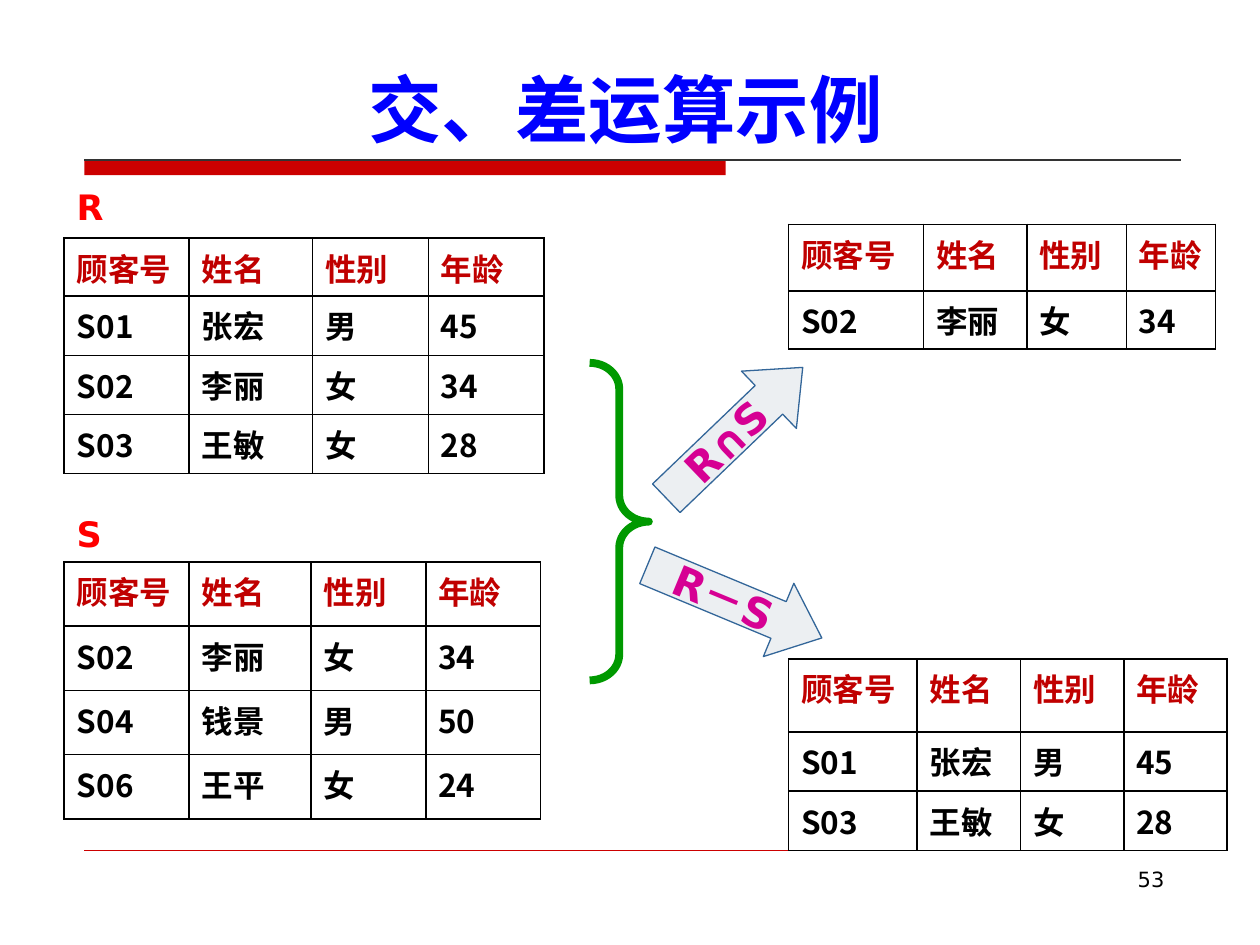
from lxml.etree import SubElement
from pptx import Presentation
from pptx.dml.color import RGBColor
from pptx.enum.shapes import MSO_CONNECTOR as CONNECTOR, MSO_SHAPE as SHAPE
from pptx.enum.text import MSO_ANCHOR as ANCHOR, PP_ALIGN as ALIGN
from pptx.oxml.ns import qn
from pptx.util import Inches, Pt

COLORS = {
    "title": "0000FF", "rule": "CC0000", "hairline": "333333", "header": "C00000",
    "text": "000000", "relation": "FF0000", "brace": "009900",
    "arrow": "A3B2C1", "arrow_edge": "336699", "operation": "D60093",
}
RGB = {name: RGBColor.from_string(value) for name, value in COLORS.items()}
SC, KR, TIMES, DEJAVU = "Noto Sans CJK SC", "Noto Sans CJK KR", "Times New Roman", "DejaVu Sans"


def write(frame, text, size, color, latin, asian=SC, bold=True, align=ALIGN.LEFT):
    """Fill a text frame with one styled paragraph, which is returned."""
    paragraph = frame.paragraphs[0]
    paragraph.text = text
    paragraph.alignment = align
    font = paragraph.font
    font.size, font.bold, font.name = Pt(size), bold, latin
    font.color.rgb = RGB[color]
    defaults = paragraph._p.pPr.find(qn("a:defRPr"))
    SubElement(defaults, qn("a:ea"), typeface=asian)
    return paragraph


def add_rule(x1, x2, y, color, width):
    rule = slide.shapes.add_connector(
        CONNECTOR.STRAIGHT, Inches(x1), Inches(y), Inches(x2), Inches(y))
    rule.line.color.rgb = RGB[color]
    rule.line.width = Pt(width)
    SubElement(rule._element.spPr, qn("a:effectLst"))


prs = Presentation()
prs.slide_width, prs.slide_height = Inches(10), Inches(7.5)
slide = prs.slides.add_slide(prs.slide_layouts[6])

# Title rules and footer rule
title_bar = slide.shapes.add_shape(
    SHAPE.RECTANGLE, Inches(0.67), Inches(1.27), Inches(5.09), Inches(0.12))
title_bar.shadow.inherit = False
title_bar.fill.solid()
title_bar.fill.fore_color.rgb = RGB["rule"]
title_bar.line.fill.background()
add_rule(0.67, 9.37, 1.27, "hairline", 0.75)
add_rule(0.67, 9.33, 6.75, "rule", 0.25)

# Title, relation names and page number
captions = [
    ("交、差运算示例", 0.59, 0.36, 8.75, 0.9, 42, "title", SC, True, ALIGN.CENTER, ANCHOR.BOTTOM),
    ("R", 0.51, 1.42, 0.94, 0.44, 20, "relation", DEJAVU, True, ALIGN.LEFT, ANCHOR.TOP),
    ("S", 0.51, 4.02, 0.94, 0.44, 20, "relation", DEJAVU, True, ALIGN.LEFT, ANCHOR.TOP),
    ("53", 7.17, 6.83, 2.17, 0.52, 12, "text", DEJAVU, False, ALIGN.RIGHT, ANCHOR.TOP),
]
for text, x, y, w, h, size, color, face, bold, align, anchor in captions:
    caption = slide.shapes.add_textbox(Inches(x), Inches(y), Inches(w), Inches(h)).text_frame
    caption.word_wrap = True
    caption.vertical_anchor = anchor
    write(caption, text, size, color, face, bold=bold, align=align)

# Relations: left, top, column widths, row heights, fonts for names and codes, tuples
HEADER = "顾客号 姓名 性别 年龄"
relations = [
    (6.26, 1.78, [1.07, 0.82, 0.79, 0.71], [0.53, 0.46], TIMES, KR,
     ["S02 李丽 女 34"]),
    (0.51, 1.89, [0.99, 0.98, 0.92, 0.92], [0.46] + [0.47] * 3, SC, SC,
     ["S01 张宏 男 45", "S02 李丽 女 34", "S03 王敏 女 28"]),
    (0.51, 4.46, [0.99, 0.97, 0.91, 0.91], [0.51] * 4, TIMES, KR,
     ["S02 李丽 女 34", "S04 钱景 男 50", "S06 王平 女 24"]),
    (6.26, 5.23, [1.02, 0.82, 0.82, 0.82], [0.58, 0.47, 0.47], TIMES, KR,
     ["S01 张宏 男 45", "S03 王敏 女 28"]),
]
for x, y, widths, heights, name_font, code_font, tuples in relations:
    table = slide.shapes.add_table(
        len(heights), len(widths), Inches(x), Inches(y),
        Inches(sum(widths)), Inches(sum(heights))).table
    table.first_row = table.horz_banding = False
    for column, width in zip(table.columns, widths):
        column.width = Inches(width)
    for r, (height, values) in enumerate(zip(heights, [HEADER] + tuples)):
        table.rows[r].height = Inches(height)
        for c, value in enumerate(values.split()):
            cell = table.cell(r, c)
            face = code_font if value.isascii() else name_font
            paragraph = write(cell.text_frame, value, 18, "text" if r else "header", face)
            hanging = Inches(0.38)
            paragraph._p.pPr.set("marL", str(hanging))
            paragraph._p.pPr.set("indent", str(-hanging))
            properties = cell._tc.get_or_add_tcPr()
            for side in ("lnL", "lnR", "lnT", "lnB"):
                border = SubElement(properties, qn(f"a:{side}"), w=str(Pt(1)))
                fill = SubElement(border, qn("a:solidFill"))
                SubElement(fill, qn("a:srgbClr"), val=COLORS["text"])
            cell.fill.background()

# Brace joining R and S
brace = slide.shapes.add_shape(
    SHAPE.RIGHT_BRACE, Inches(4.68), Inches(2.88), Inches(0.47), Inches(2.52))
brace.shadow.inherit = False
brace.adjustments[0], brace.adjustments[1] = 0.44, 0.5
brace.fill.background()
brace.line.color.rgb = RGB["brace"]
brace.line.width = Pt(4.5)

# Arrows to the results
for operation, y, angle in [("R∩S", 3.12, 316.2), ("R－S", 4.46, 22.6)]:
    arrow = slide.shapes.add_shape(
        SHAPE.RIGHT_ARROW, Inches(5.08), Inches(y), Inches(1.5), Inches(0.63))
    arrow.shadow.inherit = False
    arrow.rotation = angle
    arrow.adjustments[0], arrow.adjustments[1] = 0.5, 0.59
    arrow.fill.solid()
    arrow.fill.fore_color.rgb = RGB["arrow"]
    tint = arrow._element.spPr.find(qn("a:solidFill")).find(qn("a:srgbClr"))
    SubElement(tint, qn("a:alpha"), val="20000")
    arrow.line.color.rgb = RGB["arrow_edge"]
    arrow.line.width = Pt(0.75)
    arrow.text_frame.word_wrap = False
    arrow.text_frame.vertical_anchor = ANCHOR.MIDDLE
    write(arrow.text_frame, operation, 24, "operation", DEJAVU, DEJAVU, align=ALIGN.CENTER)

prs.save("out.pptx")
